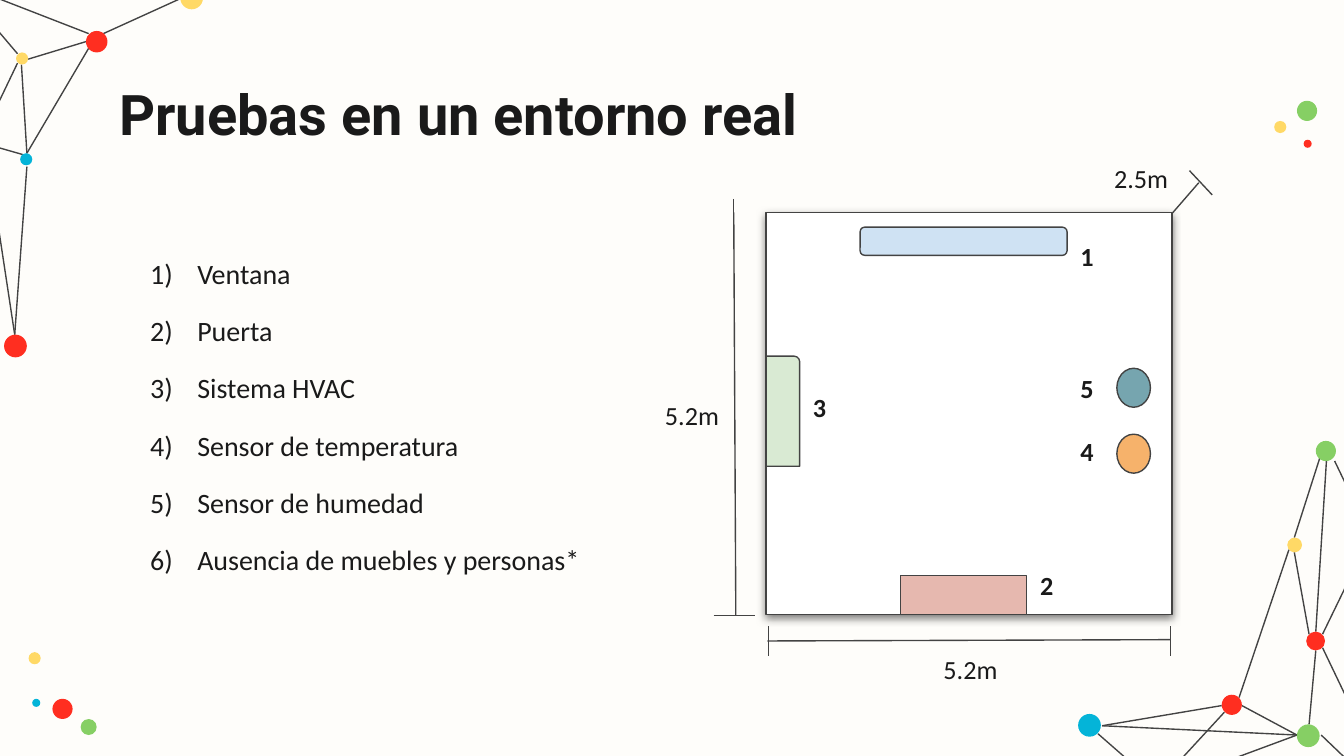
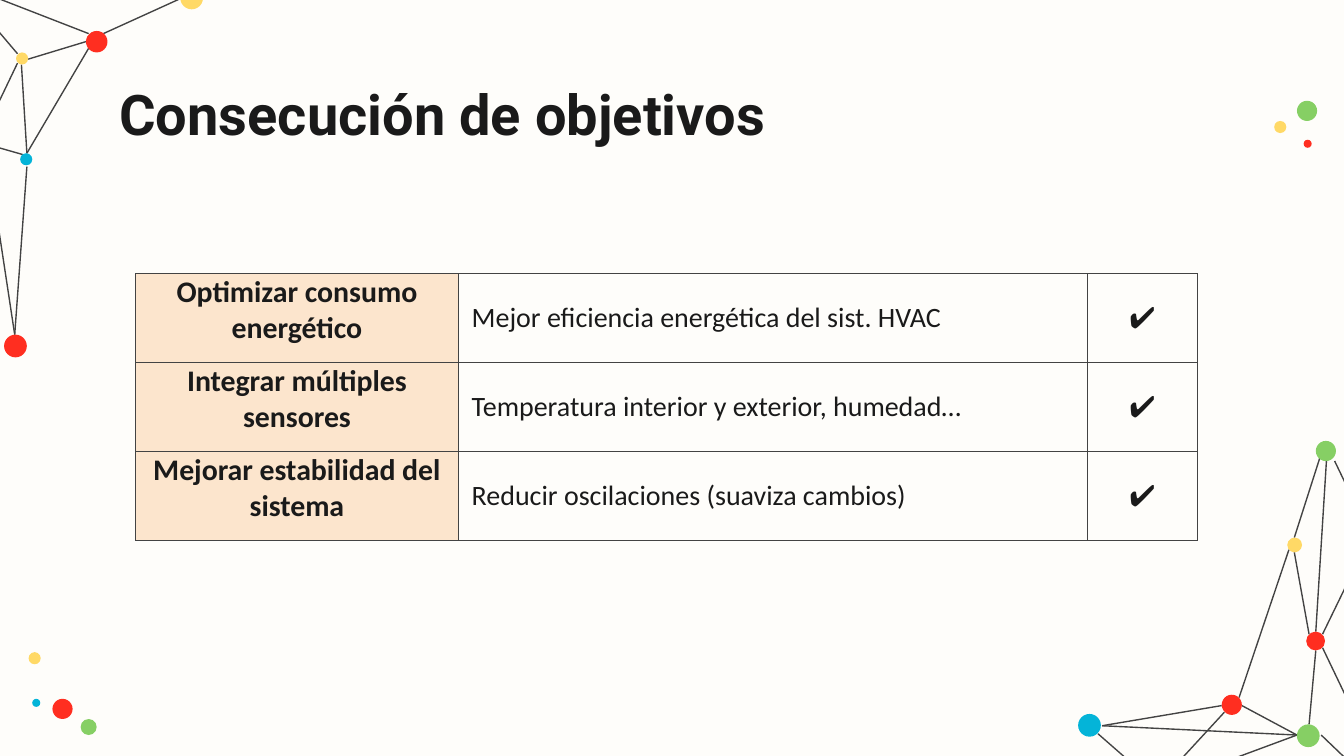
from dataclasses import dataclass

from lxml import etree
from pptx import Presentation
from pptx.dml.color import RGBColor
from pptx.enum import shapes, text
from pptx.oxml import ns
from pptx.util import Pt

SHAPE = shapes.MSO_SHAPE
ALIGN = text.PP_ALIGN


@dataclass(frozen=True)
class Theme:
    paper: str = "FEFDFA"
    ink: str = "1A1A1A"
    line: str = "434343"
    white: str = "FFFFFF"
    yellow: str = "FFD966"
    red: str = "FF2E20"
    blue: str = "04B4D8"
    green: str = "86CF64"
    window: str = "CFE2F3"
    door: str = "E6B8AF"
    hvac: str = "D9EAD3"
    humidity: str = "76A5AF"
    temperature: str = "F6B26B"
    goal: str = "FCE5CD"
    title_font: str = "Roboto"
    body_font: str = "Calibri"
    title_size: float = 30
    goal_size: float = 16
    body_size: float = 15
    label_size: float = 14
    line_width: float = 0.75
    inset: float = 7.2


THEME = Theme()

# Network lines: x1, y1, x2, y2
NETWORK_LINES = [
    (15.1, 31.7, 46.1, 22.3), (55.4, 18, 96.5, -0.7),
    (14.4, 89.3, 7.9, 179.3), (-7.2, 79.9, 7.9, 179.3),
    (-2.9, 78.5, 12.2, 82.8), (-7.2, 68.4, 9.4, 33.8),
    (-23, -9.4, 9.4, 28.8), (47.5, 18, -23, -9.4),
    (14.4, 82.1, 11.5, 34.6), (14.4, 82.1, 47.5, 25.9),
    (707, 245.5, 693.4, 288), (693.4, 295.9, 701.3, 339.8),
    (710.6, 247, 704.9, 338.4), (701.3, 388.1, 704.9, 348.5),
    (665.3, 378, 694.8, 393.8), (622.8, 420.5, 694.8, 393.8),
    (588.2, 393.1, 617, 418.3), (590.4, 388.8, 654.5, 378),
    (622.1, 418.3, 655.9, 381.6), (663.8, 373.7, 690.5, 294.5),
    (715, 247, 733, 284.4), (708.5, 339.8, 733, 289.4),
    (708.5, 347, 743, 419), (707.8, 393.8, 740.9, 425.5),
    (590.4, 388.8, 694.8, 393.8),
]

# Dots by colour: left, top, diameter
DOTS = {
    THEME.yellow: [(96.6, -7.2, 12.2), (8.6, 28.1, 6.5), (689.6, 288, 7.9),
                   (15.3, 349.4, 6.5), (682.6, 64.8, 6.5)],
    THEME.red: [(2.2, 179.3, 12.2), (46.1, 16.6, 11.5), (654.5, 372.2, 10.8),
                (699.8, 338.4, 10.1), (28.1, 374.4, 10.8), (698.4, 74.9, 4.3)],
    THEME.blue: [(10.8, 82.1, 6.5), (577.6, 382.5, 12.2), (17.3, 374.4, 4.3)],
    THEME.green: [(694.8, 388.1, 12.2), (704.9, 236.2, 10.8),
                  (43.2, 385.2, 8.6), (694.8, 54, 10.8)],
}

ROOM_ITEMS = [
    "Ventana", "Puerta", "Sistema HVAC", "Sensor de temperatura",
    "Sensor de humedad", "Ausencia de muebles y personas*",
]

FURNITURE = [
    (SHAPE.ROUNDED_RECTANGLE, (460.8, 121.7, 110.9, 15.1), THEME.window),
    (SHAPE.RECTANGLE, (482.4, 308.2, 67.7, 20.9), THEME.door),
    (SHAPE.ROUND_1_RECTANGLE, (410.4, 190.8, 18, 59), THEME.hvac),
    (SHAPE.OVAL, (598.3, 197.3, 18, 20.9), THEME.humidity),
    (SHAPE.OVAL, (598.3, 232.6, 18, 20.9), THEME.temperature),
]

DIMENSION_LINES = [
    (637.2, 91.4, 649.4, 104.4), (627.8, 114.5, 642.2, 97.9),
    (411.1, 343.4, 627.1, 342.7),
    (411.8, 335.5, 411.8, 351.4), (627.1, 335.5, 627.1, 351.4),
    (393.1, 113.8, 394.2, 329.8), (393.1, 106.6, 393.1, 122.4),
    (382.3, 329.8, 404.6, 329.8),
]

DIMENSION_LABELS = [
    ("5.2m", (488.2, 342.7, 63.4, 28.1)),
    ("5.2m", (347, 206.6, 47.5, 31.7)),
    ("2.5m", (579.6, 79.9, 63.4, 28.1)),
]

ITEM_NUMBERS = {"1": (571.7, 121.7), "2": (550.1, 298.1), "3": (428.4, 202.3),
                "4": (571.7, 226.1), "5": (571.7, 192.2)}

GOALS = [
    ("Optimizar consumo energético",
     "Mejor eficiencia energética del sist. HVAC"),
    ("Integrar múltiples sensores",
     "Temperatura interior y exterior, humedad…"),
    ("Mejorar estabilidad del sistema",
     "Reducir oscilaciones (suaviza cambios)"),
]


def apply(target, values):
    for name, value in values.items():
        setattr(target, name, value)


def points(values):
    return [Pt(value) for value in values]


def add_xml(parent, tag, **attributes):
    element = etree.SubElement(parent, ns.qn(tag))
    for name, value in attributes.items():
        element.set(name, str(value))
    return element


class Painter:
    """Draws styled elements on the current page."""

    def __init__(self, deck, theme):
        self.deck, self.theme, self.page = deck, theme, None

    def new_page(self, title):
        self.page = self.deck.slides.add_slide(self.deck.slide_layouts[6])
        fill = self.page.background.fill
        fill.solid()
        fill.fore_color.rgb = RGBColor.from_string(self.theme.paper)
        for ends in NETWORK_LINES:
            self.line(*ends)
        for color, dots in DOTS.items():
            for left, top, size in dots:
                self.shape(SHAPE.OVAL, (left, top, size, size), color, False)
        self.text([title], (56.9, 35.3, 607, 45.4), self.theme.title_size,
                  bold=True, name=self.theme.title_font)

    def line(self, *ends):
        line = self.page.shapes.add_connector(
            shapes.MSO_CONNECTOR.STRAIGHT, *points(ends))
        self.outline(line.line)
        add_xml(line._element.spPr, "a:effectLst")

    def outline(self, line):
        line.width = Pt(self.theme.line_width)
        line.color.rgb = RGBColor.from_string(self.theme.line)

    def shape(self, kind, frame, color, outlined=True):
        shape = self.page.shapes.add_shape(kind, *points(frame))
        shape.shadow.inherit = False
        shape.fill.solid()
        shape.fill.fore_color.rgb = RGBColor.from_string(color)
        if outlined:
            self.outline(shape.line)
        else:
            shape.line.fill.background()
        return shape

    def drop_shadow(self, shape):
        effects = shape._element.spPr.find(ns.qn("a:effectLst"))
        shadow = add_xml(effects, "a:outerShdw", blurRad=Pt(4.5), dist=Pt(1.5),
                         dir=5400000, algn="bl", rotWithShape=0)
        color = add_xml(shadow, "a:srgbClr", val="000000")
        add_xml(color, "a:alpha", val=50000)

    def style(self, para, size, bold=False, name=None, align=ALIGN.LEFT):
        para.alignment = align
        apply(para.font, {"size": Pt(size), "bold": bold,
                          "name": name or self.theme.body_font})
        para.font.color.rgb = RGBColor.from_string(self.theme.ink)

    def text(self, lines, frame, size, numbered=False, **style):
        box = self.page.shapes.add_textbox(*points(frame)).text_frame
        inset = Pt(self.theme.inset)
        apply(box, {"word_wrap": True, "vertical_anchor": text.MSO_ANCHOR.TOP,
                    "margin_left": inset, "margin_right": inset,
                    "margin_top": inset, "margin_bottom": inset})
        for index, line in enumerate(lines):
            para = box.add_paragraph() if index else box.paragraphs[0]
            para.text = line
            if numbered:
                self.number(para, index)
            self.style(para, size, **style)

    def number(self, para, index):
        para.line_spacing = 1.15
        if index:
            para.space_before = Pt(10)
        properties = para._p.get_or_add_pPr()
        properties.set("marL", str(Pt(36)))
        properties.set("indent", str(Pt(-25.2)))
        color = add_xml(properties, "a:buClr")
        add_xml(color, "a:srgbClr", val=self.theme.ink)
        add_xml(properties, "a:buFont", typeface=self.theme.body_font)
        add_xml(properties, "a:buAutoNum", type="arabicParenR")

    def table(self, rows, left, top, widths, row_height, columns):
        """Draw rows; columns holds a (fill, bottom margin, style) per column."""
        frame = (left, top, sum(widths), row_height * len(rows))
        table = self.page.shapes.add_table(
            len(rows), len(widths), *points(frame)).table
        apply(table, {"first_row": False, "horz_banding": False})
        for column, width in zip(table.columns, widths):
            column.width = Pt(width)
        for row, values in zip(table.rows, rows):
            row.height = Pt(row_height)
            for cell, value, column in zip(row.cells, values, columns):
                self.cell(cell, value, *column)

    def cell(self, cell, value, color, bottom, style):
        inset = Pt(self.theme.inset)
        apply(cell, {"text": value, "vertical_anchor": text.MSO_ANCHOR.MIDDLE,
                     "margin_left": inset, "margin_right": inset,
                     "margin_top": 0, "margin_bottom": Pt(bottom)})
        self.style(cell.text_frame.paragraphs[0], **style)
        properties = cell._tc.get_or_add_tcPr()
        for side in ("a:lnL", "a:lnR", "a:lnT", "a:lnB"):
            border = add_xml(properties, side, w=Pt(self.theme.line_width))
            fill = add_xml(border, "a:solidFill")
            add_xml(fill, "a:srgbClr", val=self.theme.line)
        if color:
            cell.fill.solid()
            cell.fill.fore_color.rgb = RGBColor.from_string(color)
        else:
            cell.fill.background()


def draw_room(painter):
    theme = painter.theme
    painter.new_page("Pruebas en un entorno real")
    painter.text(ROOM_ITEMS, (62.6, 127.4, 301.7, 203), theme.body_size,
                 numbered=True)
    room = painter.shape(SHAPE.RECTANGLE, (410.4, 113.8, 217.4, 215.3),
                         theme.white)
    painter.drop_shadow(room)
    for kind, frame, color in FURNITURE:
        painter.shape(kind, frame, color)
    for ends in DIMENSION_LINES:
        painter.line(*ends)
    for label, frame in DIMENSION_LABELS:
        painter.text([label], frame, theme.label_size, align=ALIGN.CENTER)
    for number, corner in ITEM_NUMBERS.items():
        painter.text([number], (*corner, 22.3, 31.7), theme.label_size,
                     bold=True)


def draw_goals(painter):
    theme = painter.theme
    painter.new_page("Consecución de objetivos")
    strong = {"size": theme.goal_size, "bold": True, "align": ALIGN.CENTER}
    check = {"size": theme.goal_size, "align": ALIGN.CENTER}
    columns = [(theme.goal, 8.6, strong),
               (None, 0, {"size": theme.body_size}),
               (None, 0, check)]
    painter.table([(*goal, "✔") for goal in GOALS], 72.7, 146.6,
                  (172.8, 337, 59), 47.7, columns)


def main():
    deck = Presentation()
    apply(deck, {"slide_width": Pt(720), "slide_height": Pt(405)})
    painter = Painter(deck, THEME)
    draw_room(painter)
    draw_goals(painter)
    deck.save("out.pptx")


if __name__ == "__main__":
    main()
